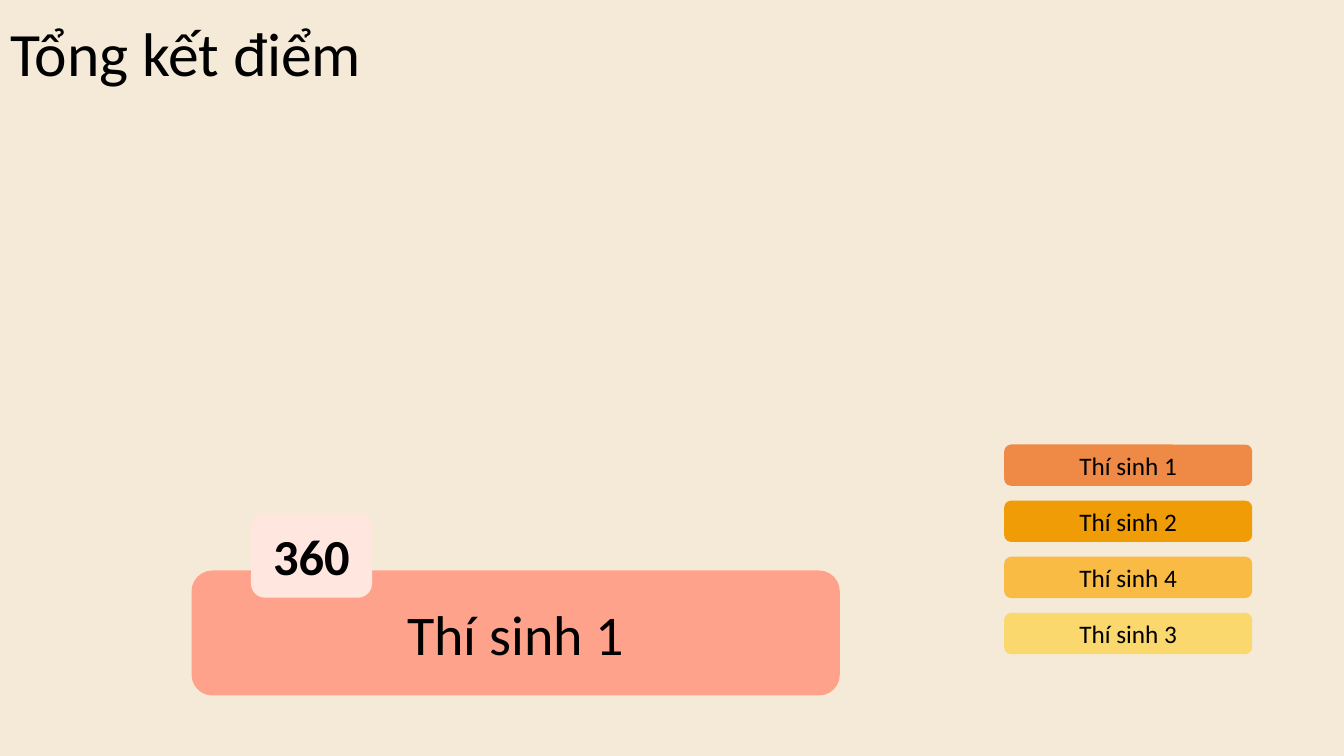
from dataclasses import dataclass

from pptx import Presentation
from pptx.dml.color import RGBColor
from pptx.enum.shapes import MSO_SHAPE as Shape
from pptx.enum.text import MSO_ANCHOR as Anchor, MSO_AUTO_SIZE as AutoSize, PP_ALIGN as Align
from pptx.util import Inches, Pt


@dataclass(frozen=True)
class Theme:
    font: str = "Calibri"
    background: str = "F5EAD7"
    text: str = "000000"
    banner: str = "FFA28C"
    score: str = "FFE6DE"
    ranks: tuple = ("EE8A46", "EF9C07", "F9BB43", "FAD86D")
    title_size: int = 44
    banner_size: int = 40
    score_size: int = 36
    rank_size: int = 18


class ScoreSlide:
    def __init__(self, presentation, theme):
        self.theme = theme
        self.slide = presentation.slides.add_slide(presentation.slide_layouts[5])
        fill = self.slide.background.fill
        fill.solid()
        fill.fore_color.rgb = RGBColor.from_string(theme.background)

    def add_label(self, shape, text, size, align, bold=False):
        frame = shape.text_frame
        frame.word_wrap = True
        frame.auto_size = AutoSize.NONE
        frame.vertical_anchor = Anchor.MIDDLE
        paragraph = frame.paragraphs[0]
        paragraph.alignment = align
        run = paragraph.add_run()
        run.text = text
        run.font.name = self.theme.font
        run.font.size = Pt(size)
        run.font.bold = bold
        run.font.color.rgb = RGBColor.from_string(self.theme.text)
        return paragraph

    def title(self, text, left, top, width, height):
        title = self.slide.shapes.title
        title.left, title.top = Inches(left), Inches(top)
        title.width, title.height = Inches(width), Inches(height)
        paragraph = self.add_label(title, text, self.theme.title_size, Align.LEFT)
        paragraph.line_spacing = 0.9

    def card(self, text, left, top, width, height, color, size, bold=False):
        card = self.slide.shapes.add_shape(
            Shape.ROUNDED_RECTANGLE, Inches(left), Inches(top), Inches(width), Inches(height)
        )
        card.shadow.inherit = False
        card.fill.solid()
        card.fill.fore_color.rgb = RGBColor.from_string(color)
        card.line.fill.background()
        self.add_label(card, text, size, Align.CENTER, bold)


def main():
    presentation = Presentation()
    presentation.slide_width = Inches(13.33)
    presentation.slide_height = Inches(7.5)
    theme = Theme()
    slide = ScoreSlide(presentation, theme)

    slide.title("Tổng kết điểm", 0, 0.05, 6.57, 1.02)
    slide.card("Thí sinh 1", 1.9, 5.66, 6.43, 1.24, theme.banner, theme.banner_size)
    slide.card("360", 2.49, 5.09, 1.2, 0.84, theme.score, theme.score_size, bold=True)

    ranking = (1, 2, 4, 3)
    rank_top, rank_bottom = 4.41, 6.08
    rank_step = (rank_bottom - rank_top) / (len(ranking) - 1)
    for row, (contestant, color) in enumerate(zip(ranking, theme.ranks)):
        top = rank_top + row * rank_step
        slide.card(f"Thí sinh {contestant}", 9.96, top, 2.46, 0.41, color, theme.rank_size)

    presentation.save("out.pptx")


if __name__ == "__main__":
    main()
